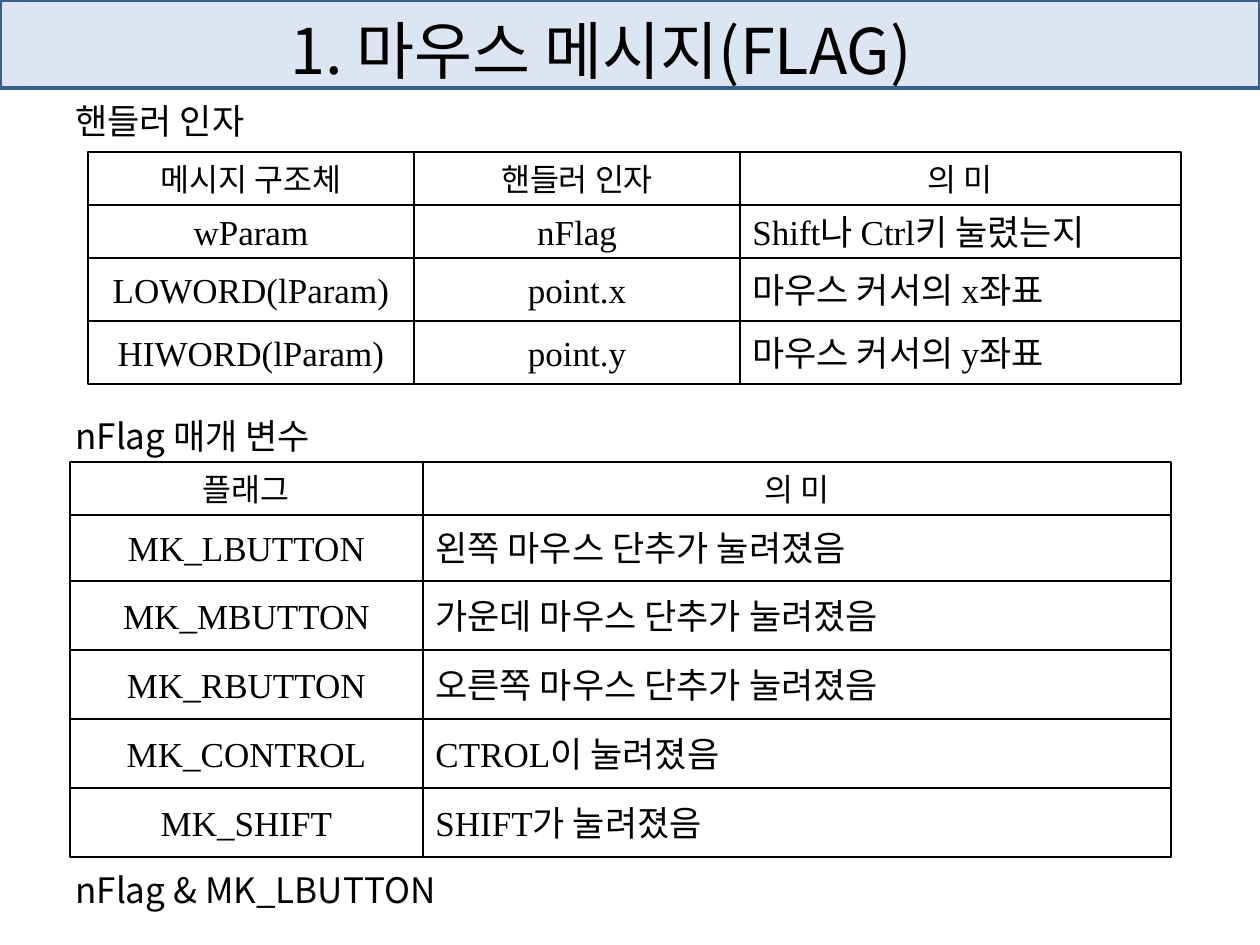
from dataclasses import dataclass
from itertools import accumulate

import pptx
import pptx.dml.color
import pptx.enum.shapes
import pptx.enum.text
import pptx.util

EMU_PER_PX = 914400 / 126
COLORS = {"text": "000000", "grid": "000000", "bar": "DCE6F2", "bar_line": "3A5F8C"}
SANS = "Noto Sans CJK KR"
SERIF = "Times New Roman"
TITLE_ONLY = 5
ALIGN = pptx.enum.text.PP_ALIGN
MIDDLE = pptx.enum.text.MSO_ANCHOR.MIDDLE


@dataclass(frozen=True)
class Label:
    text: str
    top: int


@dataclass(frozen=True)
class Grid:
    left: int
    top: int
    column_widths: tuple[int, ...]
    row_heights: tuple[int, ...]
    rows: tuple[tuple[str, ...], ...]


LABELS = (
    Label("핸들러 인자", 98),
    Label("nFlag 매개 변수", 413),
    Label("nFlag & MK_LBUTTON", 867),
)

GRIDS = (
    Grid(88, 152, (326, 326, 441), (53, 53, 63, 63), (
        ("메시지 구조체", "핸들러 인자", "의 미"),
        ("wParam", "nFlag", "Shift나 Ctrl키 눌렸는지"),
        ("LOWORD(lParam)", "point.x", "마우스 커서의 x좌표"),
        ("HIWORD(lParam)", "point.y", "마우스 커서의 y좌표"),
    )),
    Grid(70, 462, (353, 748), (53, 66, 69, 69, 69, 69), (
        ("플래그", "의 미"),
        ("MK_LBUTTON", "왼쪽 마우스 단추가 눌려졌음"),
        ("MK_MBUTTON", "가운데 마우스 단추가 눌려졌음"),
        ("MK_RBUTTON", "오른쪽 마우스 단추가 눌려졌음"),
        ("MK_CONTROL", "CTROL이 눌려졌음"),
        ("MK_SHIFT", "SHIFT가 눌려졌음"),
    )),
)


def px(length: int) -> pptx.util.Emu:
    return pptx.util.Emu(round(length * EMU_PER_PX))


def rgb(name: str) -> pptx.dml.color.RGBColor:
    return pptx.dml.color.RGBColor.from_string(COLORS[name])


def write(frame, text: str, *, size: int, font: str, align=ALIGN.LEFT,
          line_spacing: float = 1.0) -> None:
    paragraph = frame.paragraphs[0]
    paragraph.alignment = align
    paragraph.line_spacing = line_spacing
    run = paragraph.add_run()
    run.text = text
    run.font.size = pptx.util.Pt(size)
    run.font.color.rgb = rgb("text")
    run.font.name = font


def draw_rectangle(slide, left: int, top: int, width: int, height: int, *,
                   line: str, line_width: float, fill: str | None = None):
    rectangle = slide.shapes.add_shape(
        pptx.enum.shapes.MSO_SHAPE.RECTANGLE, px(left), px(top), px(width), px(height))
    rectangle.shadow.inherit = False
    if fill is None:
        rectangle.fill.background()
    else:
        rectangle.fill.solid()
        rectangle.fill.fore_color.rgb = rgb(fill)
    rectangle.line.color.rgb = rgb(line)
    rectangle.line.width = pptx.util.Pt(line_width)
    return rectangle


def draw_title(slide, text: str) -> None:
    title = slide.shapes.title
    title.left, title.top, title.width, title.height = px(20), px(0), px(1162), px(98)
    frame = title.text_frame
    frame.auto_size = pptx.enum.text.MSO_AUTO_SIZE.NONE
    frame.vertical_anchor = MIDDLE
    write(frame, text, size=36, font=SANS, align=ALIGN.CENTER)

    bar = draw_rectangle(slide, 0, 0, 1260, 88, line="bar_line", line_width=2, fill="bar")
    title.element.addprevious(bar.element)  # the bar lies behind the title


def draw_label(slide, label: Label) -> None:
    box = slide.shapes.add_textbox(px(63), px(label.top), px(1134), px(50))
    box.text_frame.word_wrap = True
    write(box.text_frame, label.text, size=20, font=SANS, line_spacing=0.9)


def draw_grid(slide, grid: Grid) -> None:
    """Draw one box per cell; the last column is left-aligned below its header."""
    lefts = list(accumulate(grid.column_widths, initial=grid.left))
    tops = list(accumulate(grid.row_heights, initial=grid.top))
    meaning_column = len(grid.column_widths) - 1
    for r, texts in enumerate(grid.rows):
        for c, text in enumerate(texts):
            cell = draw_rectangle(slide, lefts[c], tops[r], grid.column_widths[c],
                                  grid.row_heights[r], line="grid", line_width=0.75)
            cell.text_frame.word_wrap = False
            cell.text_frame.vertical_anchor = MIDDLE
            is_header = r == 0
            centred = is_header or c < meaning_column
            write(cell.text_frame, text, size=18 if is_header else 20, font=SERIF,
                  align=ALIGN.CENTER if centred else ALIGN.LEFT)


def main() -> None:
    deck = pptx.Presentation()
    deck.slide_width, deck.slide_height = px(1260), px(945)
    slide = deck.slides.add_slide(deck.slide_layouts[TITLE_ONLY])
    draw_title(slide, "1. 마우스 메시지(FLAG)")
    for label in LABELS:
        draw_label(slide, label)
    for grid in GRIDS:
        draw_grid(slide, grid)
    deck.save("out.pptx")


if __name__ == "__main__":
    main()
